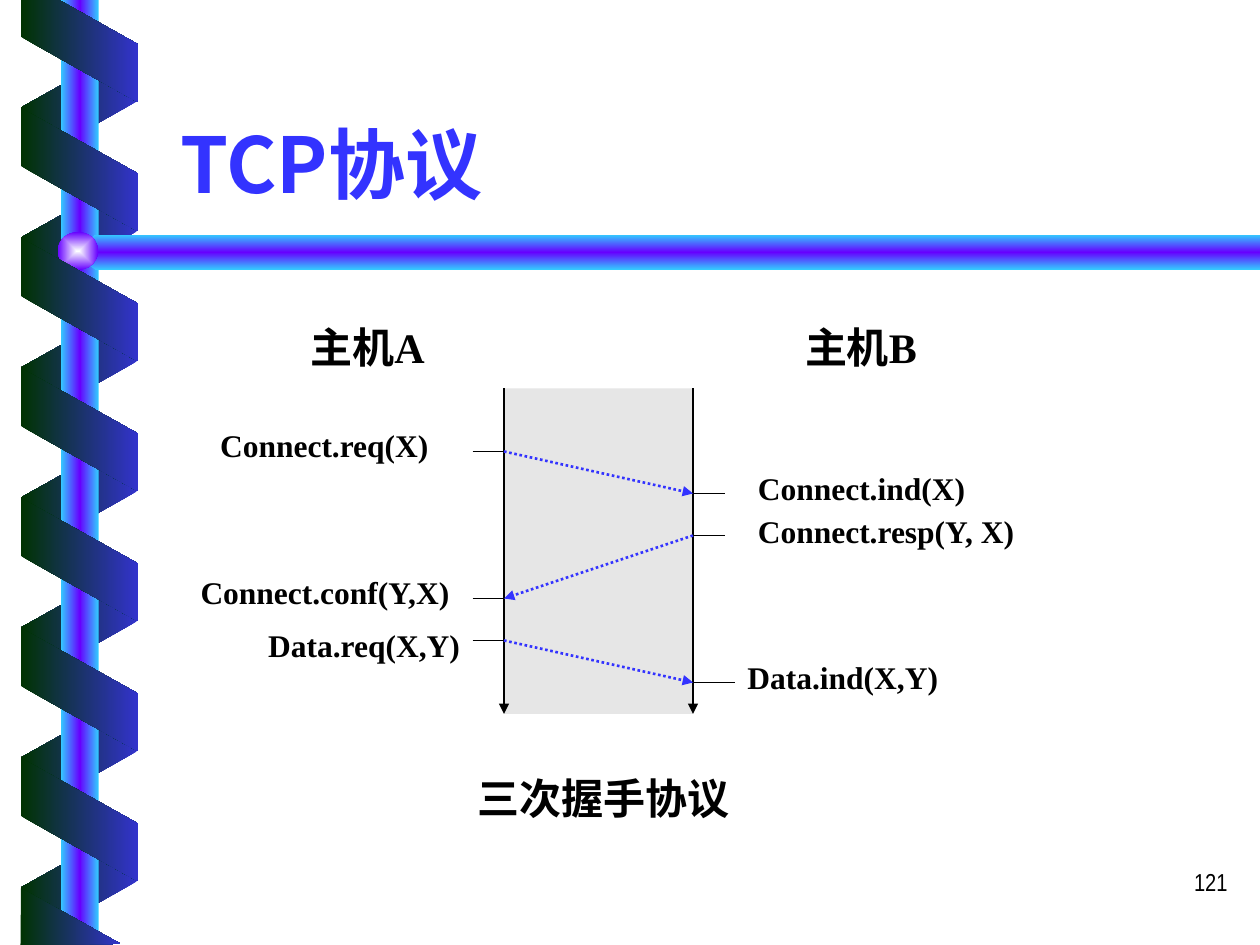
"""Build the slide on the three-way handshake of TCP, on a grid of 120 columns by 90 rows."""
from typing import NamedTuple

from pptx import Presentation
from pptx.dml.color import RGBColor
from pptx.enum.dml import MSO_LINE
from pptx.enum.shapes import MSO_CONNECTOR, MSO_SHAPE
from pptx.enum.text import MSO_ANCHOR, MSO_AUTO_SIZE, PP_ALIGN
from pptx.oxml import parse_xml
from pptx.oxml.ns import nsdecls, qn
from pptx.util import Emu, Inches, Pt

BLACK = RGBColor(0x00, 0x00, 0x00)
BLUE = RGBColor(0x33, 0x33, 0xFF)
GRAY = RGBColor(0xE6, 0xE6, 0xE6)
INDIGO = RGBColor(0x33, 0x33, 0xCC)
GREEN = RGBColor(0x00, 0x33, 0x00)
CYAN = RGBColor(0x33, 0xCC, 0xFF)
VIOLET = RGBColor(0x66, 0x00, 0xFF)
PEARL = RGBColor(0xFE, 0xFF, 0xFF)

LEFT, CENTER, RIGHT = PP_ALIGN.LEFT, PP_ALIGN.CENTER, PP_ALIGN.RIGHT
BOTTOM = MSO_ANCHOR.BOTTOM
FIXED, GROW = MSO_AUTO_SIZE.NONE, MSO_AUTO_SIZE.SHAPE_TO_FIT_TEXT
RECTANGLE, OVAL = MSO_SHAPE.RECTANGLE, MSO_SHAPE.OVAL
PARALLELOGRAM = MSO_SHAPE.PARALLELOGRAM
STRAIGHT = MSO_CONNECTOR.STRAIGHT
DOTTED = MSO_LINE.ROUND_DOT

SERIF, SANS, NARROW = "Times New Roman", "Noto Sans CJK SC", "Arial Narrow"
WIDTH, HEIGHT = Inches(10), Inches(7.5)
COLUMNS, ROWS = 120, 90
HOST_A, HOST_B = 48, 66
START, END = 37, 68
STRAND_PITCH = 12.38


class Box(NamedTuple):
    """A rectangle in grid cells."""
    column: float
    row: float
    columns: float
    rows: float


class Label(NamedTuple):
    """A text with its place and format."""
    text: str
    box: Box
    align: PP_ALIGN
    size: int = 18


class Line(NamedTuple):
    """A straight line between two grid points."""
    start: tuple
    end: tuple
    dotted: bool = False
    arrow: bool = False


class Strand(NamedTuple):
    """A repeated band of the spiral."""
    box: Box
    count: int
    rotation: int
    flipped: bool
    stops: tuple


BACK_STRAND = Strand(Box(1.68, 4.4, 11.76, 11.04), 7, 90, True, (INDIGO, GREEN))
FRONT_STRAND = Strand(Box(1.68, 10.58, 11.76, 11.16), 6, 270, False, (GREEN, INDIGO))
BAR_POINTS = [(120, 22.35), (9.12, 22.35), (7.2, 24), (9.12, 25.7), (120, 25.7)]
STRAND_ENDS = [
    [(2, 0), (2, 3.5), (13.1, 9.72), (13.1, 4.2), (5.64, 0)],
    [(11.5, 89.9), (2, 84.6), (1.95, 90)],
]
LABELS = [
    Label("主机A", Box(27, 30, 16, 6), CENTER, 24),
    Label("主机B", Box(74, 30, 16, 6), CENTER, 24),
    Label("Connect.req(X)", Box(18, 40, 24, 4.8), RIGHT),
    Label("Connect.ind(X)", Box(71, 44.1, 28, 4.8), LEFT),
    Label("Connect.resp(Y, X)", Box(71, 48.2, 33, 4.8), LEFT),
    Label("Connect.conf(Y,X)", Box(15, 54, 29, 4.8), RIGHT),
    Label("Data.req(X,Y)", Box(21, 59, 24, 4.8), RIGHT),
    Label("Data.ind(X,Y)", Box(70, 62.1, 28, 4.8), LEFT),
    Label("三次握手协议", Box(42, 73, 31, 6), CENTER, 24),
]
TIMELINES = [Line((host, START), (host, END), arrow=True) for host in (HOST_A, HOST_B)]
TICKS = [Line((HOST_A - 3, row), (HOST_A, row)) for row in (43, 57, 61)]
TICKS += [Line((HOST_B, row), (HOST_B + length, row)) for row, length in ((47, 3), (51, 3), (65, 4))]
MESSAGES = [
    Line((HOST_A, 61), (HOST_B, 65), True, True),
    Line((HOST_B, 51), (HOST_A, 57), True, True),
    Line((HOST_A, 43), (HOST_B, 47), True, True),
]


def across(columns: float) -> Emu:
    """Turn grid columns into a length."""
    return Emu(round(columns * WIDTH / COLUMNS))


def down(rows: float) -> Emu:
    """Turn grid rows into a length."""
    return Emu(round(rows * HEIGHT / ROWS))


def place(box: Box) -> tuple:
    """Turn a grid box into left, top, width and height."""
    return across(box.column), down(box.row), across(box.columns), down(box.rows)


def fill_gradient(shape, colors: tuple, angle: int = 0, centered: bool = False) -> None:
    """Fill a shape with evenly spaced colours that do not turn with it."""
    step = 100000 // (len(colors) - 1)
    stops = "".join(
        f'<a:gs pos="{index * step}"><a:srgbClr val="{color}"/></a:gs>'
        for index, color in enumerate(colors))
    course = f'<a:lin ang="{angle * 60000}" scaled="0"/>'
    if centered:
        course = '<a:path path="rect"><a:fillToRect l="50000" t="50000" r="50000" b="50000"/></a:path>'
    shape.fill.gradient()
    properties = shape._element.spPr
    properties.replace(properties.find(qn("a:gradFill")), parse_xml(
        f'<a:gradFill {nsdecls("a")} rotWithShape="0"><a:gsLst>{stops}</a:gsLst>{course}</a:gradFill>'))


def add_plain_shape(slide, kind: MSO_SHAPE, box: Box):
    """Add a preset shape without line or shadow."""
    shape = slide.shapes.add_shape(kind, *place(box))
    shape.shadow.inherit = False
    shape.line.fill.background()
    return shape


def add_outline(slide, points: list, colors: tuple, angle: int = 0) -> None:
    """Add a closed outline with a gradient."""
    corners = [(across(column), down(row)) for column, row in points]
    builder = slide.shapes.build_freeform(*corners[0], scale=1.0)
    builder.add_line_segments(corners[1:], close=True)
    shape = builder.convert_to_shape()
    shape.shadow.inherit = False
    shape.line.fill.background()
    fill_gradient(shape, colors, angle)


def add_strand(slide, strand: Strand) -> None:
    """Add all the bands of one side of the spiral."""
    for index in range(strand.count):
        row = strand.box.row + index * STRAND_PITCH
        shape = add_plain_shape(slide, PARALLELOGRAM, strand.box._replace(row=row))
        shape.adjustments[0] = 0.56
        shape.rotation = strand.rotation
        if strand.flipped:
            shape._element.spPr.xfrm.set("flipH", "1")
        fill_gradient(shape, strand.stops)


def format_text(text_frame, text: str, align: PP_ALIGN, size: int, name: str,
                color: RGBColor = BLACK, bold: bool = True) -> None:
    """Set the text of a frame and format its run."""
    text_frame.text = text
    text_frame.word_wrap = True
    paragraph = text_frame.paragraphs[0]
    paragraph.alignment = align
    run = paragraph.runs[0]
    run.font.size, run.font.bold = Pt(size), bold
    run.font.color.rgb = color
    run.font.name = name
    run.font._element.find(qn("a:latin")).addnext(
        parse_xml(f'<a:ea {nsdecls("a")} typeface="{SANS}"/>'))


def add_line(slide, line: Line) -> None:
    """Add a line, dotted or with an arrowhead where asked."""
    (column, row), (end_column, end_row) = line.start, line.end
    connector = slide.shapes.add_connector(
        STRAIGHT, across(column), down(row), across(end_column), down(end_row))
    connector.line.color.rgb = BLUE if line.dotted else BLACK
    connector.line.width = Pt(1.5 if line.dotted else 0.75)
    if line.dotted:
        connector.line.dash_style = DOTTED
    if line.arrow:
        connector.line._get_or_add_ln().append(parse_xml(f'<a:tailEnd {nsdecls("a")} type="triangle"/>'))
    connector._element.spPr.append(parse_xml(f'<a:effectLst {nsdecls("a")}/>'))


def add_spiral(slide) -> None:
    """Draw the spiral, its pole and the bar under the title."""
    add_strand(slide, BACK_STRAND)
    fill_gradient(add_plain_shape(slide, RECTANGLE, Box(5.8, 0, 3.6, ROWS)), (CYAN, VIOLET, CYAN))
    add_outline(slide, BAR_POINTS, (CYAN, VIOLET, CYAN), 90)
    fill_gradient(add_plain_shape(slide, OVAL, Box(5.5, 22.1, 3.85, 3.6)), (PEARL, VIOLET), centered=True)
    add_strand(slide, FRONT_STRAND)
    for points in STRAND_ENDS:
        add_outline(slide, points, FRONT_STRAND.stops)


def main() -> None:
    """Build and save the presentation."""
    presentation = Presentation()
    presentation.slide_width, presentation.slide_height = WIDTH, HEIGHT
    slide = presentation.slides.add_slide(presentation.slide_layouts[5])
    add_spiral(slide)
    number = slide.shapes.add_textbox(*place(Box(93.1, 82, 25, 6)))
    format_text(number.text_frame, "121", RIGHT, 14, NARROW, bold=False)
    title = slide.shapes.title
    title.left, title.top, title.width, title.height = place(Box(16, 5.5, 102, 15))
    format_text(title.text_frame, "TCP协议", LEFT, 44, SANS, BLUE)
    title.text_frame.vertical_anchor = BOTTOM
    title.text_frame.auto_size = FIXED
    channel = add_plain_shape(slide, RECTANGLE, Box(HOST_A, START, HOST_B - HOST_A, END - START))
    channel.fill.solid()
    channel.fill.fore_color.rgb = GRAY
    for line in TIMELINES + TICKS + MESSAGES:
        add_line(slide, line)
    for label in LABELS:
        text_box = slide.shapes.add_textbox(*place(label.box))
        format_text(text_box.text_frame, label.text, label.align, label.size, SERIF)
        text_box.text_frame.auto_size = GROW
    presentation.save("out.pptx")


if __name__ == "__main__":
    main()
